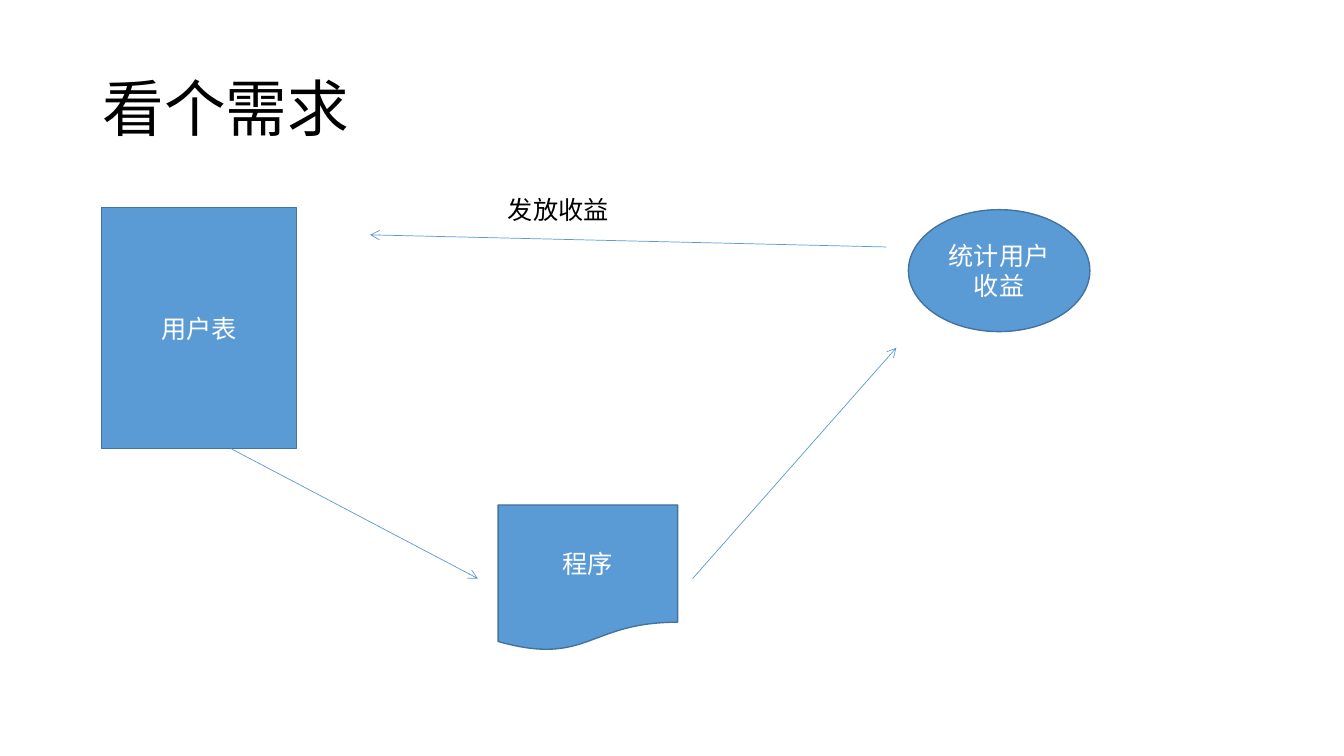
from lxml import etree
from pptx import Presentation
from pptx.dml.color import RGBColor
from pptx.enum.shapes import MSO_CONNECTOR, MSO_SHAPE
from pptx.enum.text import MSO_ANCHOR, PP_ALIGN
from pptx.oxml.ns import qn
from pptx.util import Inches, Pt

FONT = "Calibri"
BLUE = RGBColor(0x5B, 0x9B, 0xD5)
DARK_BLUE = RGBColor(0x43, 0x73, 0x9E)
WHITE = RGBColor(0xFF, 0xFF, 0xFF)
BLACK = RGBColor(0x00, 0x00, 0x00)


def write_text(frame, text, size=18, color=BLACK, align=PP_ALIGN.LEFT,
               anchor=MSO_ANCHOR.TOP, line_spacing=None):
    frame.word_wrap = True
    frame.vertical_anchor = anchor
    paragraph = frame.paragraphs[0]
    paragraph.alignment = align
    paragraph.line_spacing = line_spacing
    run = paragraph.add_run()
    run.text = text
    run.font.name = FONT
    run.font.size = Pt(size)
    run.font.color.rgb = color


def add_label(slide, box, text, **text_format):
    label = slide.shapes.add_textbox(*map(Inches, box))
    write_text(label.text_frame, text, **text_format)


def add_node(slide, preset, box, text):
    node = slide.shapes.add_shape(preset, *map(Inches, box))
    node.shadow.inherit = False
    node.fill.solid()
    node.fill.fore_color.rgb = BLUE
    node.line.color.rgb = DARK_BLUE
    node.line.width = Pt(1)
    write_text(node.text_frame, text, color=WHITE, align=PP_ALIGN.CENTER,
               anchor=MSO_ANCHOR.MIDDLE)


def add_arrow(slide, start, end):
    """Draw a thin line with an open arrowhead at its end."""
    arrow = slide.shapes.add_connector(
        MSO_CONNECTOR.STRAIGHT, *map(Inches, start + end))
    arrow.line.color.rgb = BLUE
    arrow.line.width = Pt(0.5)
    etree.SubElement(arrow.line._get_or_add_ln(), qn("a:tailEnd"), type="arrow")
    etree.SubElement(arrow._element.spPr, qn("a:effectLst"))


def main():
    deck = Presentation()
    deck.slide_width = Inches(13.33)
    deck.slide_height = Inches(7.5)
    slide = deck.slides.add_slide(deck.slide_layouts[6])

    add_label(slide, (0.92, 0.38, 11.5, 1.45), "看个需求", size=44,
              align=PP_ALIGN.JUSTIFY, anchor=MSO_ANCHOR.MIDDLE, line_spacing=0.9)

    add_node(slide, MSO_SHAPE.RECTANGLE, (1.01, 2.06, 1.93, 2.39), "用户表")
    add_node(slide, MSO_SHAPE.FLOWCHART_DOCUMENT, (4.94, 5.01, 1.78, 1.45), "程序")
    add_node(slide, MSO_SHAPE.OVAL, (9.01, 2.08, 1.8, 1.21), "统计用户收益")

    add_arrow(slide, (2.29, 4.45), (4.74, 5.74))
    add_arrow(slide, (6.87, 5.74), (8.89, 3.45))
    add_arrow(slide, (8.79, 2.45), (3.67, 2.33))
    add_label(slide, (4.94, 1.88, 1.93, 0.4), "发放收益")

    deck.save("out.pptx")


if __name__ == "__main__":
    main()
